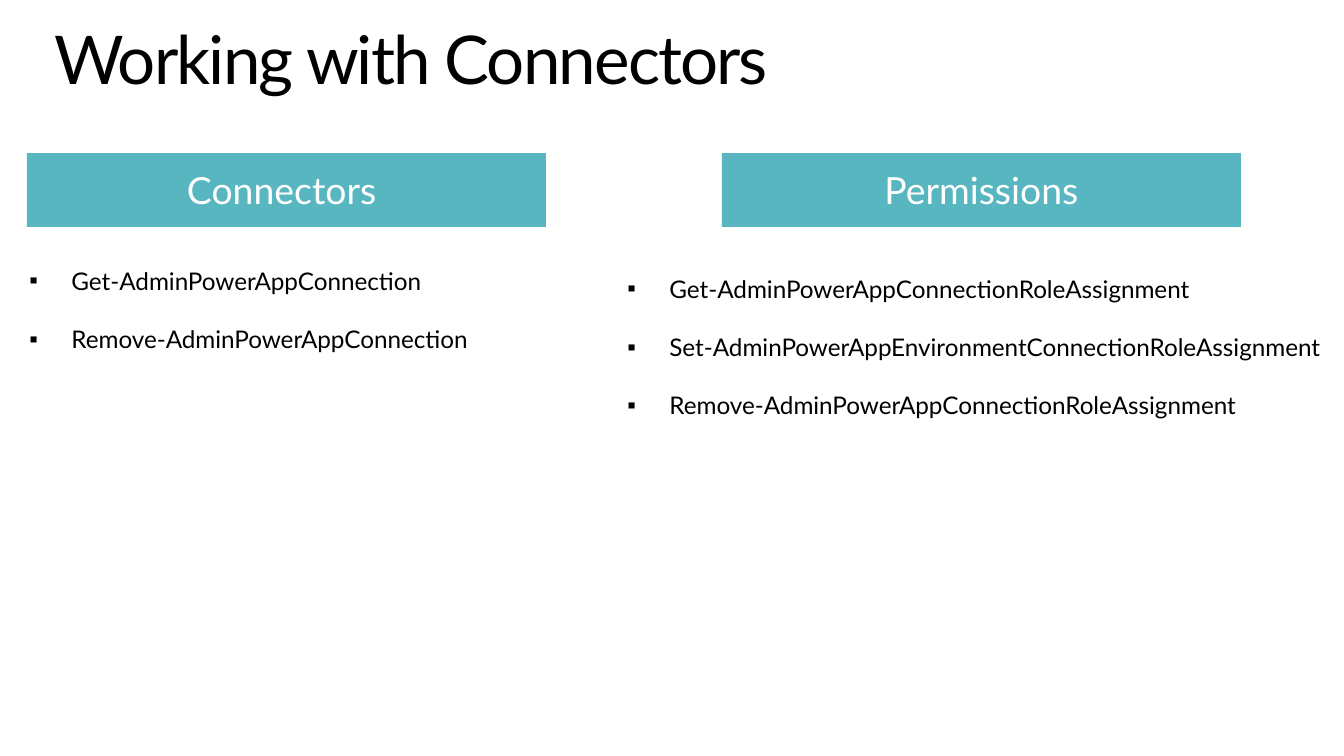
import pptx
import pptx.util
import pptx.dml.color
import pptx.enum.shapes
import pptx.enum.text
import pptx.oxml.ns
import lxml.etree

EMU_PER_PX = 914400 / 134.4
FONT = "Lato"
BLACK = pptx.dml.color.RGBColor(0x00, 0x00, 0x00)
WHITE = pptx.dml.color.RGBColor(0xFF, 0xFF, 0xFF)
TEAL = pptx.dml.color.RGBColor(0x58, 0xB6, 0xC0)


def px(length):
    return pptx.util.Emu(round(length * EMU_PER_PX))


class SlideBuilder:
    """Holds the style and the current slide."""

    def __init__(self, slide):
        self.slide = slide

    def place(self, shape, left, top, width, height):
        shape.left, shape.top = px(left), px(top)
        shape.width, shape.height = px(width), px(height)

    def format_runs(self, paragraph, size, color):
        for run in paragraph.runs:
            run.font.name = FONT
            run.font.size = pptx.util.Pt(size)
            run.font.color.rgb = color

    def title(self, text, *box):
        shape = self.slide.shapes.title
        self.place(shape, *box)
        frame = shape.text_frame
        frame.text = text
        frame.auto_size = pptx.enum.text.MSO_AUTO_SIZE.NONE
        frame.vertical_anchor = pptx.enum.text.MSO_ANCHOR.TOP
        frame.margin_left = frame.margin_right = 0
        frame.margin_top = frame.margin_bottom = 0
        paragraph = frame.paragraphs[0]
        paragraph.alignment = pptx.enum.text.PP_ALIGN.LEFT
        paragraph.line_spacing = 0.9
        self.format_runs(paragraph, 36, BLACK)
        # Letter spacing in hundredths of a point
        paragraph.runs[0].font._element.set("spc", "-100")

    def heading(self, text, *box):
        shape = self.slide.shapes.add_shape(
            pptx.enum.shapes.MSO_SHAPE.RECTANGLE, *map(px, box))
        shape.shadow.inherit = False
        shape.fill.solid()
        shape.fill.fore_color.rgb = TEAL
        shape.line.fill.background()
        frame = shape.text_frame
        frame.text = text
        frame.vertical_anchor = pptx.enum.text.MSO_ANCHOR.MIDDLE
        paragraph = frame.paragraphs[0]
        paragraph.alignment = pptx.enum.text.PP_ALIGN.CENTER
        self.format_runs(paragraph, 20, WHITE)

    def bullet_list(self, index, items, *box):
        shape = self.slide.placeholders[index]
        self.place(shape, *box)
        frame = shape.text_frame
        frame.text = "\n".join(items)
        frame.word_wrap = True
        frame.auto_size = pptx.enum.text.MSO_AUTO_SIZE.NONE
        frame.vertical_anchor = pptx.enum.text.MSO_ANCHOR.TOP
        for paragraph in frame.paragraphs:
            paragraph.line_spacing = 2.0
            paragraph.space_before = pptx.util.Pt(0)
            self.format_runs(paragraph, 13, BLACK)
            self.bullet(paragraph)

    def bullet(self, paragraph):
        properties = paragraph._p.get_or_add_pPr()
        properties.set("marL", str(px(42)))
        properties.set("indent", str(px(-42)))
        character = lxml.etree.SubElement(
            properties, pptx.oxml.ns.qn("a:buChar"))
        character.set("char", "▪")


def main():
    presentation = pptx.Presentation()
    presentation.slide_width, presentation.slide_height = px(1344), px(756)
    two_content = presentation.slide_layouts[3]
    builder = SlideBuilder(presentation.slides.add_slide(two_content))

    # Title
    builder.title("Working with Connectors", 54, 26, 1246, 74)

    # Column headings
    for text, left in (("Connectors ", 27), ("Permissions", 722)):
        builder.heading(text, left, 153, 519, 74)

    # Command lists
    builder.bullet_list(1, [
        "Get-AdminPowerAppConnection",
        "Remove-AdminPowerAppConnection",
    ], 16, 230, 614, 122)
    builder.bullet_list(2, [
        "Get-AdminPowerAppConnectionRoleAssignment",
        "Set-AdminPowerAppEnvironmentConnectionRoleAssignment",
        "Remove-AdminPowerAppConnectionRoleAssignment",
    ], 614, 238, 735, 181)

    presentation.save("out.pptx")


if __name__ == "__main__":
    main()
